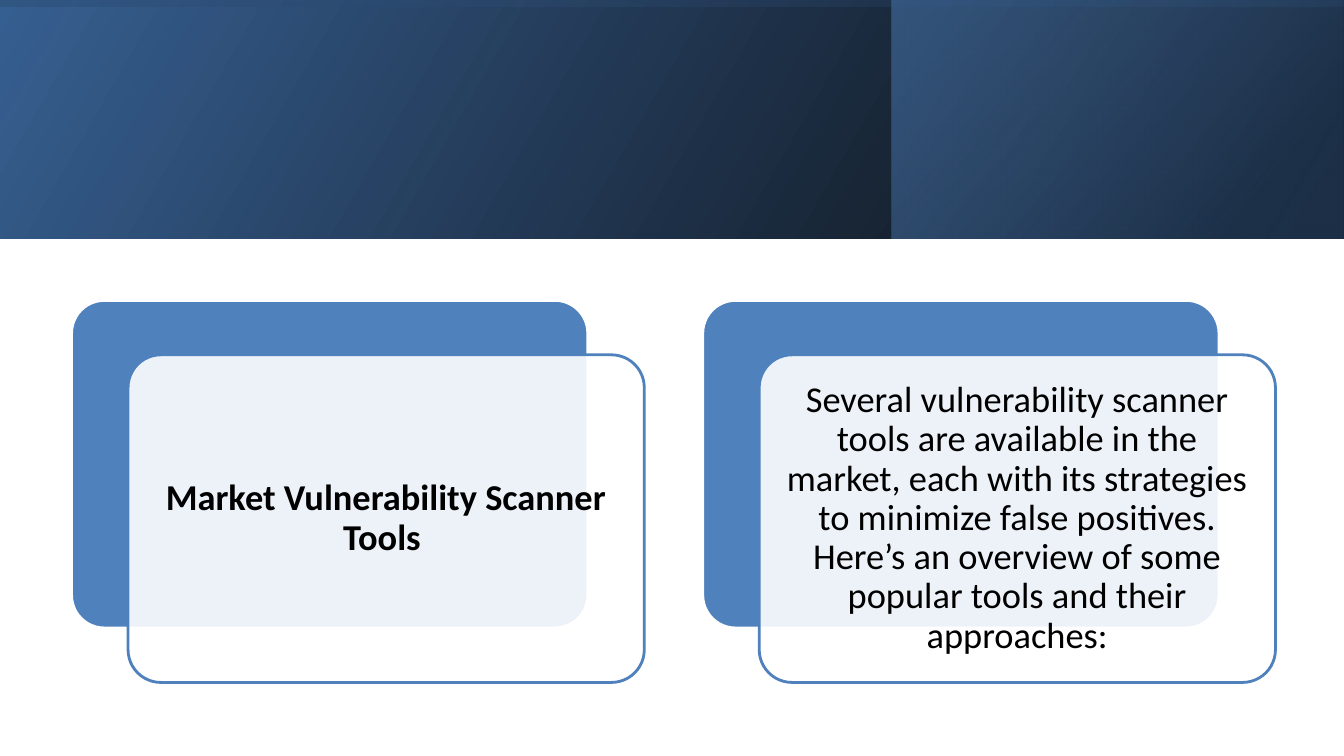
"""Builds a slide with a gradient banner and two layered text cards."""
from lxml.etree import SubElement
from pptx import Presentation
from pptx.dml.color import RGBColor
from pptx.enum.shapes import MSO_SHAPE
from pptx.enum.text import MSO_ANCHOR, PP_ALIGN
from pptx.oxml.ns import qn
from pptx.util import Inches, Pt

BLACK = RGBColor(0x00, 0x00, 0x00)
WHITE = RGBColor(0xFF, 0xFF, 0xFF)
BLUE = RGBColor(0x4F, 0x81, 0xBD)
DEEP_BLUE = RGBColor(0x37, 0x60, 0x92)
NAVY = RGBColor(0x25, 0x40, 0x61)

SLIDE_WIDTH, SLIDE_HEIGHT = 13.33, 7.5
BANNER_HEIGHT = 2.37
BANNER_LAYERS = [
    {"box": (0, 0, SLIDE_WIDTH, BANNER_HEIGHT), "rotation": 0, "angle": 30,
     "stops": [(0, BLACK, 96), (100, DEEP_BLUE, 100)]},
    {"box": (8.84, 0, 4.48, BANNER_HEIGHT), "rotation": 0, "angle": 40,
     "stops": [(19, NAVY, 68), (100, BLUE, 48)]},
    {"box": (5.48, -5.48, BANNER_HEIGHT, SLIDE_WIDTH), "rotation": 270, "angle": 10,
     "stops": [(23, DEEP_BLUE, 16), (99, BLACK, 45)]},
]

CARDS = [
    ("Market Vulnerability Scanner Tools ", True),
    ("Several vulnerability scanner tools are available in the market, each with "
     "its strategies to minimize false positives. Here’s an overview of some "
     "popular tools and their approaches:", False),
]
CARD_LEFT, CARD_TOP, CARD_PITCH = 0.71, 2.98, 6.26
CARD_WIDTH, CARD_HEIGHT = 5.12, 3.25
FRONT_SHIFT_X, FRONT_SHIFT_Y = 0.56, 0.54
CARD_INSET = 0.11


def set_opacity(shape, percents):
    """Give each fill colour of the shape its opacity in percent."""
    colors = shape._element.spPr.xpath("./a:solidFill/a:srgbClr | ./a:gradFill//a:srgbClr")
    for color, percent in zip(colors, percents):
        SubElement(color, qn("a:alpha")).set("val", str(percent * 1000))


def add_banner_layer(page, layer):
    """Add one mirrored gradient rectangle."""
    shape = page.shapes.add_shape(MSO_SHAPE.RECTANGLE, *map(Inches, layer["box"]))
    shape.shadow.inherit = False
    shape.rotation = layer["rotation"]
    shape._element.spPr.xfrm.set("flipH", "1")
    shape.line.fill.background()
    shape.fill.gradient()
    shape.fill.gradient_angle = layer["angle"]
    for stop, (position, color, _) in zip(shape.fill.gradient_stops, layer["stops"]):
        stop.position = position / 100
        stop.color.rgb = color
    set_opacity(shape, [opacity for _, _, opacity in layer["stops"]])


def add_panel(page, left, top, fill, line):
    """Add one rounded card panel."""
    panel = page.shapes.add_shape(
        MSO_SHAPE.ROUNDED_RECTANGLE,
        Inches(left), Inches(top), Inches(CARD_WIDTH), Inches(CARD_HEIGHT))
    panel.adjustments[0] = 0.1
    panel.shadow.inherit = False
    panel.fill.solid()
    panel.fill.fore_color.rgb = fill
    panel.line.color.rgb = line
    panel.line.width = Pt(2)
    return panel


def add_card(page, left, text, bold):
    """Add a blue back panel and a translucent front panel with text."""
    add_panel(page, left, CARD_TOP, BLUE, WHITE)
    front = add_panel(page, left + FRONT_SHIFT_X, CARD_TOP + FRONT_SHIFT_Y, WHITE, BLUE)
    set_opacity(front, [90])
    frame = front.text_frame
    frame.word_wrap = True
    frame.vertical_anchor = MSO_ANCHOR.MIDDLE
    frame.margin_left = frame.margin_right = Inches(CARD_INSET)
    frame.margin_top = frame.margin_bottom = Inches(CARD_INSET)
    para = frame.paragraphs[0]
    para.text = text
    para.alignment = PP_ALIGN.CENTER
    para.line_spacing = 0.9
    para.font.name = "Calibri"
    para.font.size = Pt(26)
    para.font.bold = bold
    para.font.color.rgb = BLACK


def main():
    """Build and save the deck."""
    deck = Presentation()
    deck.slide_width, deck.slide_height = Inches(SLIDE_WIDTH), Inches(SLIDE_HEIGHT)
    page = deck.slides.add_slide(deck.slide_layouts[6])
    for layer in BANNER_LAYERS:
        add_banner_layer(page, layer)
    for index, (text, bold) in enumerate(CARDS):
        add_card(page, CARD_LEFT + index * CARD_PITCH, text, bold)
    deck.save("out.pptx")


if __name__ == "__main__":
    main()
